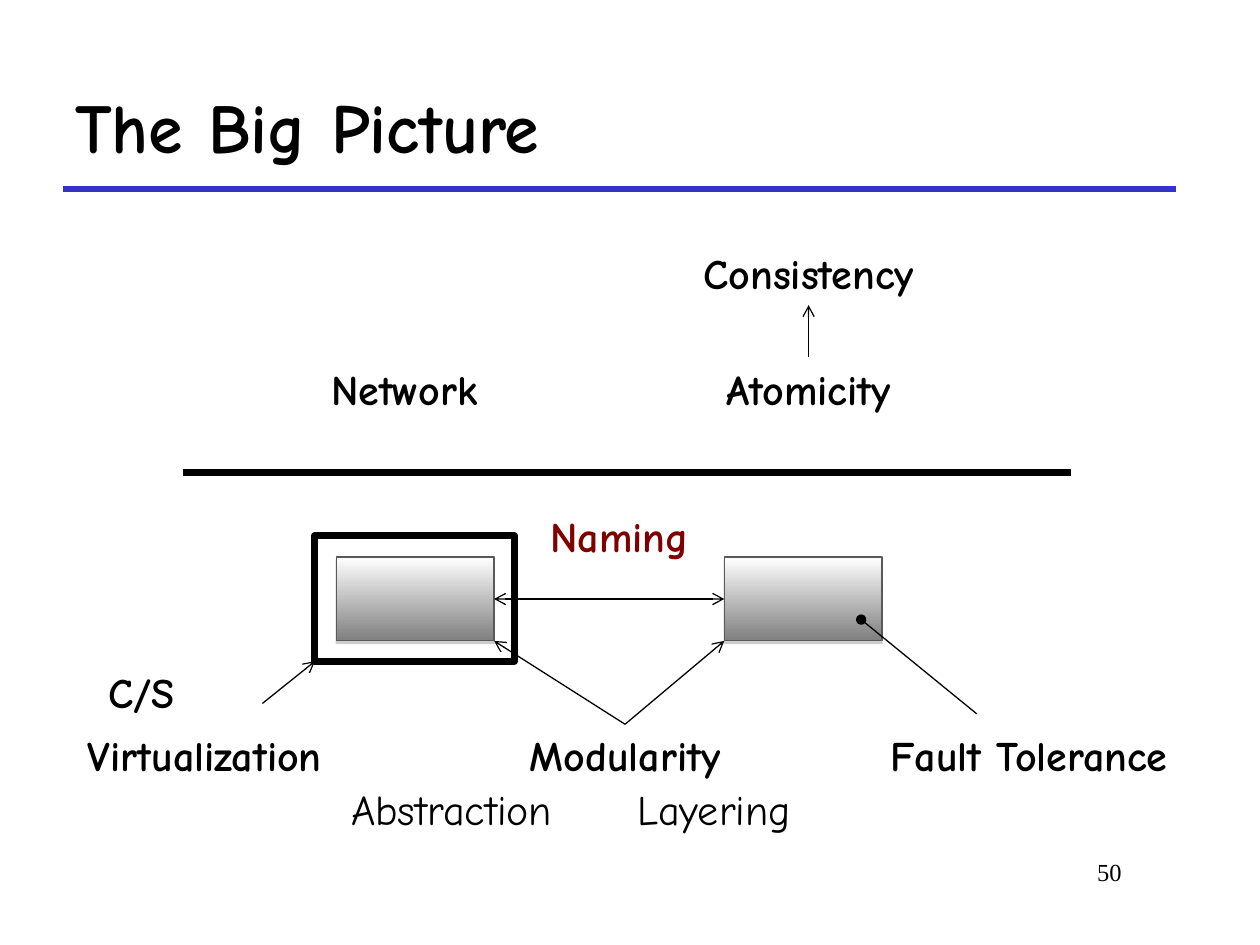
from lxml.etree import SubElement
from pptx import Presentation
from pptx.dml.color import RGBColor
from pptx.enum.shapes import MSO_CONNECTOR, MSO_SHAPE
from pptx.enum.text import MSO_ANCHOR, PP_ALIGN
from pptx.oxml.ns import qn
from pptx.util import Cm, Pt

BLACK = RGBColor(0x00, 0x00, 0x00)
WHITE = RGBColor(0xFF, 0xFF, 0xFF)
GRAY = RGBColor(0x7F, 0x7F, 0x7F)
OUTLINE = RGBColor(0x59, 0x59, 0x59)
BLUE = RGBColor(0x33, 0x33, 0xCC)
MAROON = RGBColor(0x80, 0x00, 0x00)

LABEL_HEIGHT = 1.27
MODULE_WIDTH, MODULE_HEIGHT = 3.18, 1.69
MODULE_TOP = 11.23
MODULE_BOTTOM = MODULE_TOP + MODULE_HEIGHT
CLIENT_LEFT, SERVICE_LEFT = 6.78, 14.6
CLIENT_RIGHT = CLIENT_LEFT + MODULE_WIDTH
FRAME_LEFT, FRAME_BOTTOM = 6.35, 13.33
MODULARITY_TIP = (12.6, 14.6)
ATOMICITY_CENTER = 16.3


class Diagram:
    """Draws on one slide in one style; all lengths are centimetres."""

    font_name = "Comic Neue"
    thin, thick = 0.75, 4

    def __init__(self, slide):
        self.slide = slide

    def text(self, words, left, top, width, height=LABEL_HEIGHT, size=24, bold=True,
             color=BLACK, align=PP_ALIGN.CENTER, anchor=MSO_ANCHOR.TOP, font_name=None):
        box = self.slide.shapes.add_textbox(Cm(left), Cm(top), Cm(width), Cm(height))
        frame = box.text_frame
        frame.word_wrap = True
        frame.vertical_anchor = anchor
        paragraph = frame.paragraphs[0]
        paragraph.text = words
        paragraph.alignment = align
        font = paragraph.font
        font.name = font_name or self.font_name
        font.size = Pt(size)
        font.bold = bold
        font.color.rgb = color

    def rectangle(self, left, top, width, height, color, weight):
        shape = self.slide.shapes.add_shape(
            MSO_SHAPE.RECTANGLE, Cm(left), Cm(top), Cm(width), Cm(height))
        shape.shadow.inherit = False
        shape.line.color.rgb = color
        shape.line.width = Pt(weight)
        return shape

    def frame(self, left, top, width, height):
        self.rectangle(left, top, width, height, BLACK, self.thick).fill.background()

    def module(self, left):
        """Add a shaded box with a soft shadow below it."""
        shape = self.rectangle(left, MODULE_TOP, MODULE_WIDTH, MODULE_HEIGHT,
                               OUTLINE, self.thin)
        shape.fill.gradient()
        shape.fill.gradient_angle = 270
        for stop, position, color in zip(shape.fill.gradient_stops, (0, 1), (WHITE, GRAY)):
            stop.position = position
            stop.color.rgb = color
        effects = shape._element.spPr.find(qn("a:effectLst"))
        shadow = SubElement(effects, qn("a:outerShdw"), blurRad="0", dist=str(Pt(1.6)),
                            dir="5400000", rotWithShape="0")
        shadow_color = SubElement(shadow, qn("a:srgbClr"), val="808080")
        SubElement(shadow_color, qn("a:alpha"), val="38000")
        return shape

    def line(self, start, end, color=BLACK, weight=thin, head=None, tail=None):
        """Add a line; head marks its start and tail its end."""
        connector = self.slide.shapes.add_connector(
            MSO_CONNECTOR.STRAIGHT, *(Cm(value) for value in (*start, *end)))
        connector.line.color.rgb = color
        connector.line.width = Pt(weight)
        for tag, kind in (("a:headEnd", head), ("a:tailEnd", tail)):
            if kind:
                SubElement(connector.line._get_or_add_ln(), qn(tag), type=kind)
        SubElement(connector._element.spPr, qn("a:effectLst"))
        return connector


def main():
    presentation = Presentation()
    presentation.slide_width, presentation.slide_height = Cm(25.4), Cm(19.05)
    diagram = Diagram(presentation.slides.add_slide(presentation.slide_layouts[6]))

    diagram.line((1.27, 3.81), (23.7, 3.81), BLUE, 3)
    diagram.text("The Big Picture", 1.27, 1.27, 22.43, 2.54, size=40,
                 align=PP_ALIGN.LEFT, anchor=MSO_ANCHOR.MIDDLE)
    diagram.text("50", 19.25, 17.15, 3.61, size=14, bold=False,
                 align=PP_ALIGN.RIGHT, font_name="Times New Roman")

    client = diagram.module(CLIENT_LEFT)
    service = diagram.module(SERVICE_LEFT)
    middle = MODULE_TOP + MODULE_HEIGHT / 2
    link = diagram.line((CLIENT_RIGHT, middle), (SERVICE_LEFT, middle),
                        head="arrow", tail="arrow")
    link.begin_connect(client, 3)
    link.end_connect(service, 1)
    diagram.frame(FRAME_LEFT, 10.8, 4.02, FRAME_BOTTOM - 10.8)

    diagram.line((3.68, 9.53), (21.59, 9.53), weight=diagram.thick)
    for start, end, head in (
        ((CLIENT_RIGHT, MODULE_BOTTOM), MODULARITY_TIP, "arrow"),
        ((SERVICE_LEFT, MODULE_BOTTOM), MODULARITY_TIP, "arrow"),
        ((ATOMICITY_CENTER, 6.15), (ATOMICITY_CENTER, 7.2), "arrow"),
        ((FRAME_LEFT, FRAME_BOTTOM), (5.29, 14.18), "arrow"),
        ((17.36, 12.49), (19.69, 14.39), "oval"),
    ):
        diagram.line(start, end, head=head)

    for words, left, top, width in (
        ("Consistency", 13.34, 4.87, 5.93),
        ("Network", 5.93, 7.2, 4.45),
        ("Atomicity", 13.97, 7.2, 4.66),
        ("C/S", 1.69, 13.32, 2.33),
        ("Virtualization", 1.06, 14.59, 6.14),
        ("Modularity", 9.74, 14.59, 5.72),
        ("Fault Tolerance", 17.57, 14.59, 6.35),
    ):
        diagram.text(words, left, top, width)
    diagram.text("Naming", 10.37, 10.16, 4.24, color=MAROON)
    diagram.text("Abstraction", 6.35, 15.66, 5.51, bold=False)
    diagram.text("Layering", 12.07, 15.66, 4.66, bold=False)

    presentation.save("out.pptx")


if __name__ == "__main__":
    main()
